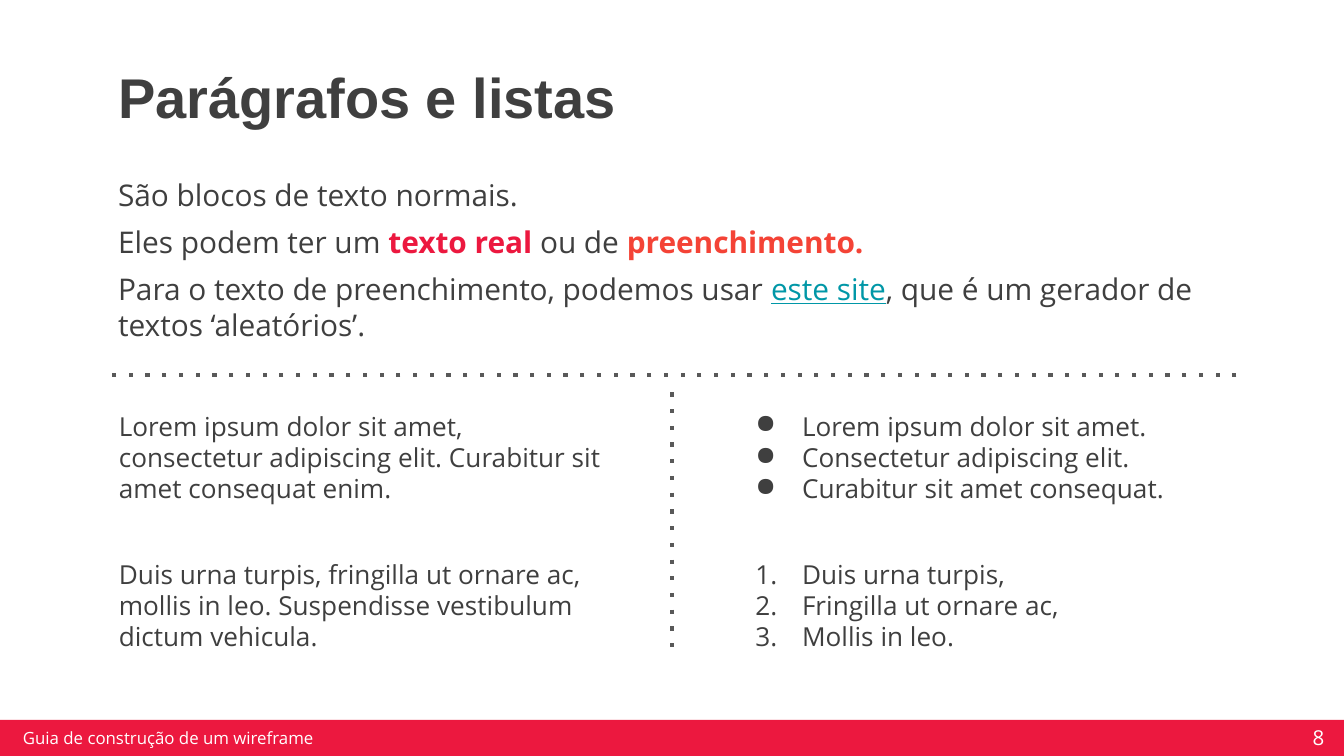
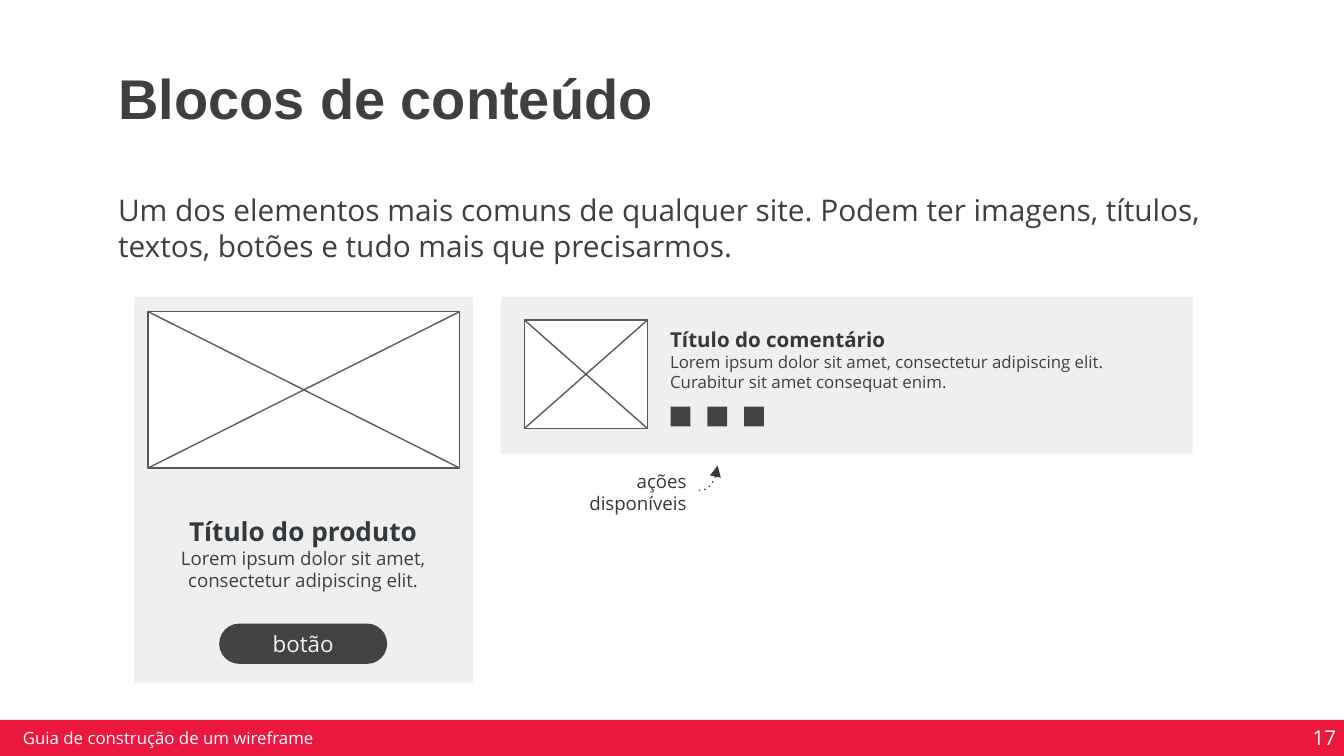
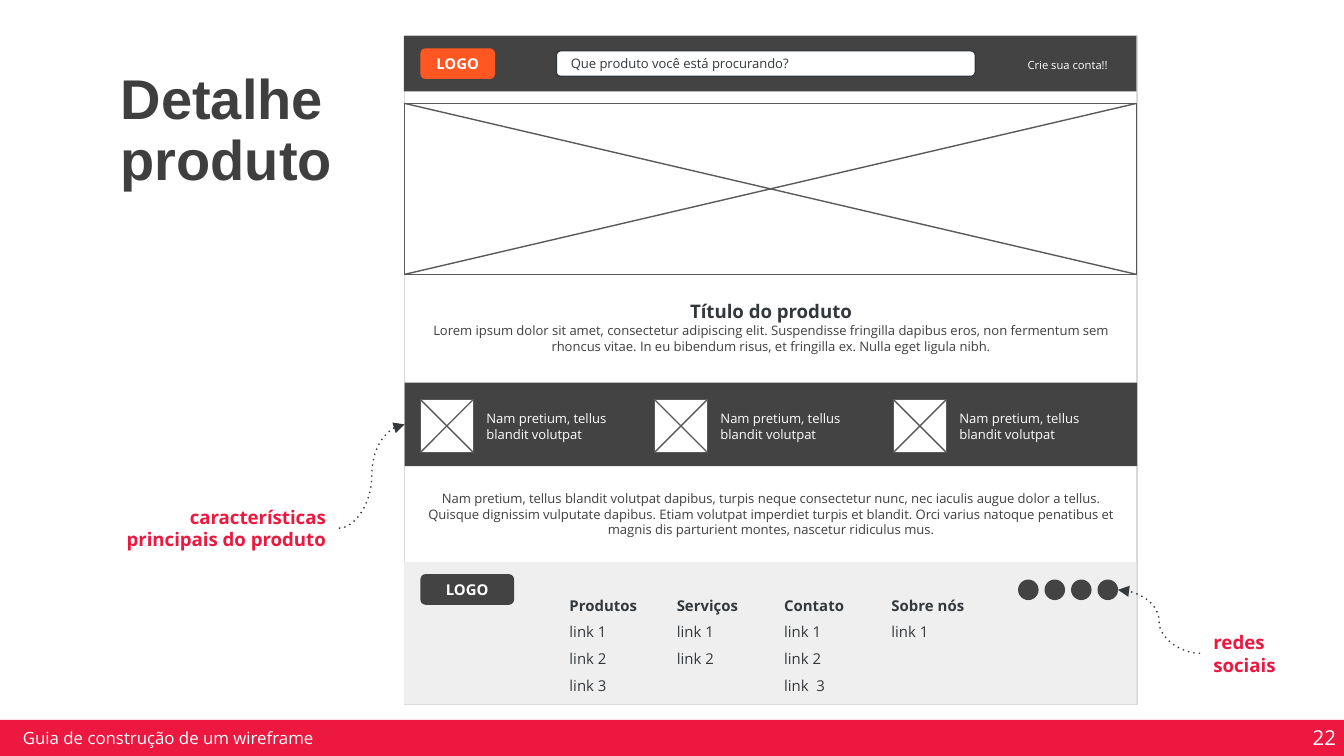
from lxml import etree
from pptx import Presentation
from pptx.dml.color import RGBColor
from pptx.enum import shapes, text
from pptx.oxml.ns import qn
from pptx.util import Pt

COLORS = {
    "white": "FFFFFF", "red": "EC183F", "coral": "F44336", "teal": "0097A7",
    "orange": "FF5722", "text": "3F3F3F", "ink": "33383C", "dark": "434343",
    "line": "595959", "pale": "EFEFEF", "border": "D9D9D9", "button": "F3F3F3",
}
BODY_FONT, TITLE_FONT = "Open Sans", "Arial"
FOOTER = "Guia de construção de um wireframe"
LEFT, CENTER, RIGHT = text.PP_ALIGN.LEFT, text.PP_ALIGN.CENTER, text.PP_ALIGN.RIGHT
TOP, MIDDLE, BOTTOM = (text.MSO_ANCHOR.TOP, text.MSO_ANCHOR.MIDDLE,
                       text.MSO_ANCHOR.BOTTOM)
KIND = shapes.MSO_SHAPE


def rgb(name):
    """Return the named colour."""
    return RGBColor.from_string(COLORS[name])


def prepare(tf, anchor, inset=(7.2, 7.2)):
    """Set wrapping, anchor and insets of a text frame."""
    tf.word_wrap = True
    tf.vertical_anchor = anchor
    tf.margin_left = tf.margin_right = Pt(inset[0])
    tf.margin_top = tf.margin_bottom = Pt(inset[1])
    return tf


def add_box(s, at, fill=None, line=None, kind=KIND.RECTANGLE, corner=None):
    """Draw a preset shape, optionally filled and outlined."""
    sp = s.shapes.add_shape(kind, *map(Pt, at))
    sp.shadow.inherit = False
    if corner is not None:
        sp.adjustments[0] = corner
    if fill:
        sp.fill.solid()
        sp.fill.fore_color.rgb = rgb(fill)
    else:
        sp.fill.background()
    if line:
        sp.line.color.rgb = rgb(line)
        sp.line.width = Pt(0.75)
    else:
        sp.line.fill.background()
    return sp


def add_text(s, at, anchor=TOP, inset=(7.2, 7.2)):
    """Add a text box and return its text frame."""
    return prepare(s.shapes.add_textbox(*map(Pt, at)).text_frame, anchor, inset)


def add_para(tf, words, size, color="text", bold=False, align=LEFT, before=0,
             after=0, spacing=1.0, font=BODY_FONT):
    """Add a paragraph of one style, using the empty first one if free."""
    p = tf.add_paragraph() if tf.text else tf.paragraphs[0]
    p.text = words
    p.alignment = align
    p.space_before, p.space_after = Pt(before), Pt(after)
    p.line_spacing = spacing
    p.font.name, p.font.size, p.font.bold = font, Pt(size), bold
    p.font.color.rgb = rgb(color)
    return p


def add_run(p, words, color=None, bold=None, underline=None):
    """Add a run that differs from its paragraph only where stated."""
    r = p.add_run()
    r.text = words
    r.font.bold, r.font.underline = bold, underline
    if color:
        r.font.color.rgb = rgb(color)


def add_bullet(p, tag, **attrs):
    """Give a paragraph a hanging bullet or number."""
    pPr = p._p.get_or_add_pPr()
    pPr.set("marL", str(Pt(36)))
    pPr.set("indent", str(Pt(-25)))
    bullet = etree.Element(qn(tag), attrs)
    pPr.find(qn("a:defRPr")).addprevious(bullet)


def add_line(s, start, end, color="line", width=0.75, dotted=False,
             kind=shapes.MSO_CONNECTOR.STRAIGHT):
    """Draw a connector without shadow."""
    cx = s.shapes.add_connector(kind, *map(Pt, start + end))
    cx.line.color.rgb = rgb(color)
    cx.line.width = Pt(width)
    if dotted:
        etree.SubElement(cx.line._get_or_add_ln(), qn("a:prstDash"), val="dot")
    etree.SubElement(cx._element.spPr, qn("a:effectLst"))
    return cx


def add_curved_arrow(s, start, end, preset="curvedConnector3"):
    """Draw a dotted curve with an arrowhead at its end."""
    cx = add_line(s, start, end, "ink", dotted=True,
                  kind=shapes.MSO_CONNECTOR.CURVE)
    cx._element.spPr.find(qn("a:prstGeom")).set("prst", preset)
    etree.SubElement(cx.line._get_or_add_ln(), qn("a:tailEnd"), type="triangle")


def add_image_frame(s, x, y, w, h):
    """Draw the crossed rectangle that stands for an image."""
    add_box(s, (x, y, w, h), "white", "line", KIND.FLOWCHART_PROCESS)
    add_line(s, (x, y), (x + w, y + h))
    add_line(s, (x + w, y), (x, y + h))


def add_label_box(s, at, words, size, fill, color="white", bold=False,
                  align=CENTER, corner=0.167, line=None):
    """Draw a rounded box with a one-line label."""
    sp = add_box(s, at, fill, line, KIND.ROUNDED_RECTANGLE, corner)
    add_para(prepare(sp.text_frame, MIDDLE), words, size, color, bold, align)


def add_title(s, words, at=(56.2, 27.6, 607, 49.7), anchor=BOTTOM):
    """Add the slide title."""
    add_para(add_text(s, at, anchor), words, 30, bold=True, spacing=0.9,
             font=TITLE_FONT)


def add_heading_text(s, at, heading, size, body, body_size, align):
    """Add a bold heading with body text under it."""
    tf = add_text(s, at)
    add_para(tf, heading, size, "ink", True, align, spacing=1.5)
    add_para(tf, body, body_size, align=align)


def new_slide(prs, number):
    """Add a blank slide with the footer band and slide number."""
    s = prs.slides.add_slide(prs.slide_layouts[6])
    add_box(s, (-1.2, 385.7, 722.4, 19.4), "red")
    add_para(add_text(s, (696.2, 379.6, 43.2, 31), MIDDLE), str(number), 11, "white")
    add_para(add_text(s, (8.7, 390, 172, 11), MIDDLE, (3.6, 1.8)), FOOTER, 9, "white")
    return s


def build_paragraphs(prs):
    """Build the slide on paragraphs and lists."""
    s = new_slide(prs, 8)
    add_title(s, "Parágrafos e listas")
    tf = add_text(s, (56.2, 92.9, 607, 92.2), MIDDLE)
    add_para(tf, "São blocos de texto normais.", 16, before=6)
    p = add_para(tf, "", 16, before=6)
    add_run(p, "Eles podem ter um ")
    add_run(p, "texto real", "red", bold=True)
    add_run(p, " ou de ")
    add_run(p, "preenchimento.", "coral", bold=True)
    p = add_para(tf, "", 16, before=6, after=6)
    add_run(p, "Para o texto de preenchimento, podemos usar ")
    add_run(p, "este site", "teal", underline=True)
    add_run(p, ", que é um gerador de textos ‘aleatórios’.")

    gap = 28.9
    tf = add_text(s, (56.6, 212.4, 276.5, 159.8))
    add_para(tf, "Lorem ipsum dolor sit amet, consectetur adipiscing elit. "
             "Curabitur sit amet consequat enim.", 14, before=6)
    add_para(tf, "Duis urna turpis, fringilla ut ornare ac, mollis in leo. "
             "Suspendisse vestibulum dictum vehicula.", 14, before=gap)

    tf = add_text(s, (386.6, 212.4, 276.5, 159.8))
    lists = [
        (6, "a:buChar", {"char": "●"},
         ["Lorem ipsum dolor sit amet.", "Consectetur adipiscing elit.",
          "Curabitur sit amet consequat."]),
        (gap, "a:buAutoNum", {"type": "arabicPeriod"},
         ["Duis urna turpis,", "Fringilla ut ornare ac,", "Mollis in leo."]),
    ]
    for before, tag, attrs, items in lists:
        for i, item in enumerate(items):
            p = add_para(tf, item, 14, before=0 if i else before)
            add_bullet(p, tag, **attrs)
    add_line(s, (360, 210.2), (360, 351.4), width=2.25, dotted=True)
    add_line(s, (662.4, 200.9), (57.6, 200.9), width=2.25, dotted=True)


def build_content_blocks(prs):
    """Build the slide on content blocks."""
    s = new_slide(prs, 17)
    add_title(s, "Blocos de conteúdo", (56.2, 28.1, 607, 49.7))
    add_para(add_text(s, (56.2, 92.9, 607, 58.3), MIDDLE),
             "Um dos elementos mais comuns de qualquer site. Podem ter imagens, "
             "títulos, textos, botões e tudo mais que precisarmos.",
             16, before=6, after=6)

    add_box(s, (72, 159.1, 181.4, 206.6), "pale")
    add_heading_text(s, (72, 260.6, 180.7, 77), "Título do produto", 14,
                     "Lorem ipsum dolor sit amet, consectetur adipiscing elit.",
                     10, CENTER)
    add_image_frame(s, 79.4, 167, 166.8, 83.7)
    add_label_box(s, (117.4, 334.1, 90, 21.6), "botão", 12, "dark", "button",
                  corner=0.5)

    add_box(s, (268.4, 159.1, 370.6, 84), "pale")
    add_image_frame(s, 281, 171.5, 65.8, 58)
    add_heading_text(s, (351.9, 161.3, 275, 71.3), "Título do comentário", 11,
                     "Lorem ipsum dolor sit amet, consectetur adipiscing elit. "
                     "Curabitur sit amet consequat enim.", 9, LEFT)
    for i in range(3):
        add_box(s, (359.2 + 19.7 * i, 217.8, 10.7, 10.7), "dark")
    tf = add_text(s, (272.2, 249.8, 102.6, 27.4), MIDDLE)
    for word in ("ações", "disponíveis"):
        add_para(tf, word, 10, "ink", align=RIGHT)
    add_curved_arrow(s, (374.4, 262.8), (384.5, 249.5), "curvedConnector2")


def build_product_detail(prs):
    """Build the product page wireframe."""
    s = new_slide(prs, 22)
    x, w = 216.4, 392.4
    add_box(s, (x + 0.4, 19, w, 358.4), line="border")
    add_title(s, "Detalhe produto", (57.6, 31, 128.2, 85), TOP)

    add_box(s, (x, 19.2, w, 29.8), "dark")
    add_label_box(s, (225.2, 25.9, 40, 16.4), "LOGO", 8, "orange", bold=True)
    add_label_box(s, (298.1, 27.2, 224.4, 13.7), "Que produto você está procurando?",
                  7, "white", "ink", align=LEFT, line="ink")
    add_para(add_text(s, (543.4, 26.5, 59, 16.6), MIDDLE), "Crie sua conta!!",
             6, "white")
    add_image_frame(s, x + 0.4, 55.4, w - 0.4, 91.6)
    add_heading_text(s, (x + 0.4, 147.6, w, 85), "Título do produto", 10,
                     "Lorem ipsum dolor sit amet, consectetur adipiscing elit. "
                     "Suspendisse fringilla dapibus eros, non fermentum sem rhoncus "
                     "vitae. In eu bibendum risus, et fringilla ex. Nulla eget "
                     "ligula nibh.", 7, CENTER)

    add_box(s, (x + 0.4, 205, w, 44.7), "dark")
    icon = 28.2
    for left in (225.3, 350.7, 478.7):
        add_image_frame(s, left, 214.1, icon, icon)
        add_para(add_text(s, (left + icon, 214.1, 95.8, icon), MIDDLE),
                 "Nam pretium, tellus blandit volutpat", 7, "white")
    add_para(add_text(s, (x + 0.4, 255.6, w, 33)),
             "Nam pretium, tellus blandit volutpat dapibus, turpis neque consectetur "
             "nunc, nec iaculis augue dolor a tellus. Quisque dignissim vulputate "
             "dapibus. Etiam volutpat imperdiet turpis et blandit. Orci varius "
             "natoque penatibus et magnis dis parturient montes, nascetur ridiculus "
             "mus.", 7, align=CENTER)

    add_box(s, (x, 301, w, 76.3), "pale")
    add_label_box(s, (225.2, 307.6, 50.2, 16.4), "LOGO", 8, "dark", bold=True)
    for i in range(4):
        add_box(s, (545.4 + 14.2 * i, 310.5, 11, 11), "dark", kind=KIND.OVAL)
    menus = [
        ("Produtos", "link 1", "link 2", "link 3"),
        ("Serviços", "link 1", "link 2"),
        ("Contato", "link 1", "link 2", "link  3"),
        ("Sobre nós", "link 1"),
    ]
    for i, menu in enumerate(menus):
        tf = add_text(s, (298 + 57.5 * i, 307.4, 57.5, 64))
        for j, entry in enumerate(menu):
            add_para(tf, entry, 8, "ink", bold=j == 0, spacing=1.5)

    add_para(add_text(s, (57.6, 269.3, 124, 27.4), MIDDLE),
             "características principais do produto", 10, "red", True, RIGHT)
    add_curved_arrow(s, (181.6, 283), (216.8, 227.4))
    add_para(add_text(s, (643, 336.4, 77, 27.4), MIDDLE),
             "redes sociais", 10, "red", True)
    add_curved_arrow(s, (643, 350), (599, 316))


def main():
    """Build and save the presentation."""
    prs = Presentation()
    prs.slide_width, prs.slide_height = Pt(720), Pt(405)
    build_paragraphs(prs)
    build_content_blocks(prs)
    build_product_detail(prs)
    prs.save("out.pptx")


if __name__ == "__main__":
    main()
